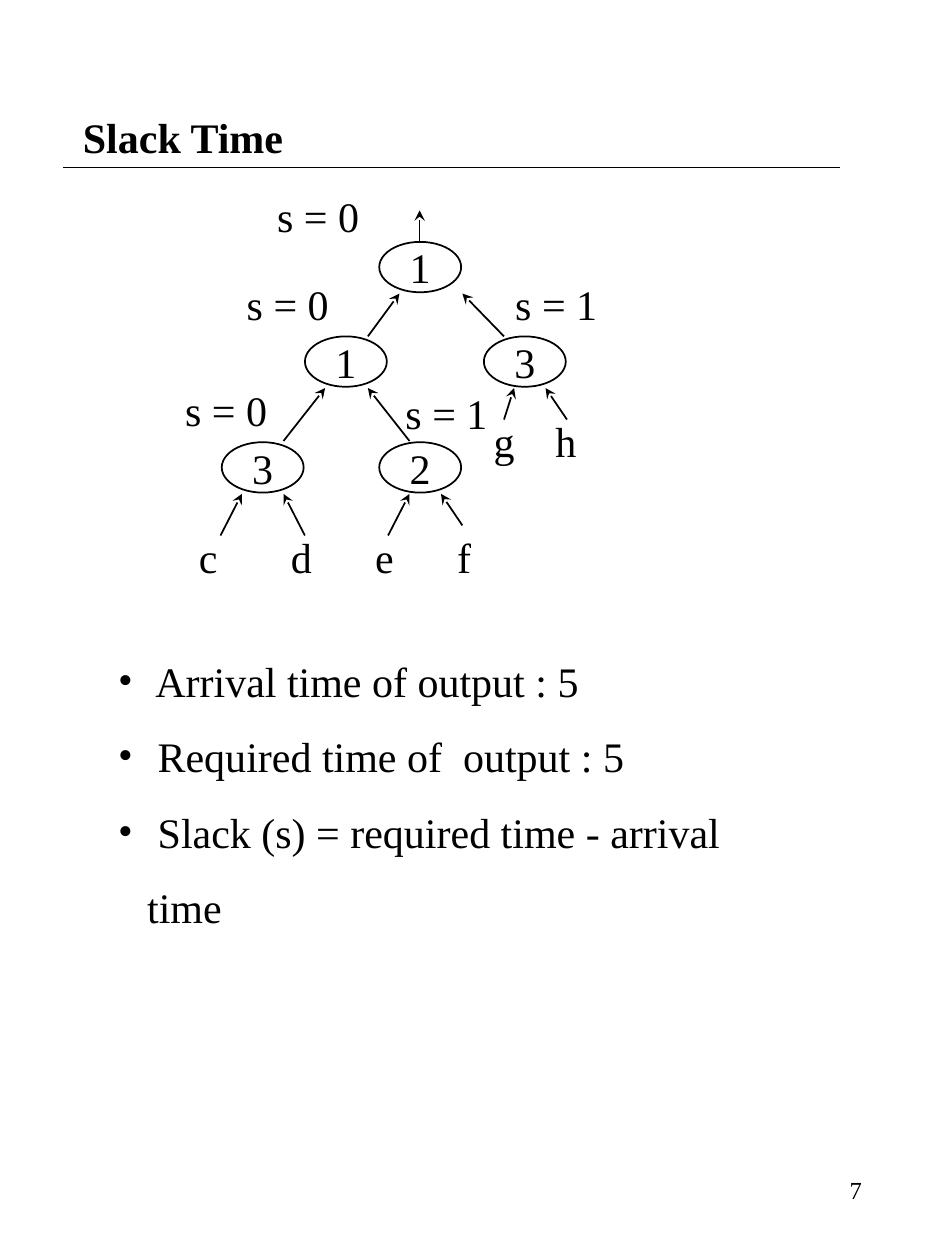
from pptx import Presentation, util as u
from pptx.dml.color import RGBColor
from pptx.enum import shapes, text
from pptx.oxml.ns import qn
from lxml import etree

FONT = "Times New Roman"
BLACK, WHITE = "000000", "FFFFFF"
NODE_SIZE = (0.65, 0.4)
NODES = [("1", 2.01, 0.92), ("1", 1.42, 1.67), ("3", 2.84, 1.67),
         ("2", 2.01, 2.51), ("3", 0.76, 2.51)]
EDGES = [(0.75, 3.25, 0.92, 2.92), (1.42, 3.25, 1.25, 2.92),
         (2.08, 3.25, 2.25, 2.92), (2.67, 3.17, 2.5, 2.92),
         (2.25, 2.5, 1.92, 2.08), (3, 1.67, 2.67, 1.33),
         (1.25, 2.5, 1.58, 2.08), (1.92, 1.67, 2.17, 1.33),
         (3.5, 2.33, 3.33, 2.08), (3, 2.33, 3.08, 2.08),
         (2.33, 0.92, 2.33, 0.67)]
LEAVES = [("c\td\te\tf", (0.48, 3.17, 2.36, 0.5), (0.73, 1.4, 2.05)),
          ("g\th", (2.82, 2.25, 0.87, 0.5), (0.49,))]
SLACKS = [("s = 1", (2.99, 1.16, 1.65, 0.5)), ("s = 1", (2.12, 2.03, 1.1, 0.5)),
          ("s = 0", (0.37, 2, 1.75, 0.5)), ("s = 0", (0.86, 1.16, 1.65, 0.5)),
          ("s = 0", (1.1, 0.46, 1.65, 0.5))]
BULLETS = [" Arrival time of output : 5", " Required time of  output : 5",
           " Slack (s) = required time - arrival time"]


def color(value):
    """Turn a hex string into a colour."""
    return RGBColor.from_string(value)


def inches(values):
    """Turn numbers into lengths."""
    return [u.Inches(value) for value in values]


def moved(box, left, top):
    """Shift a box by the corner of its region."""
    return (box[0] + left, box[1] + top, *box[2:])


def style(paragraph, size=24, bold=False):
    """Set the font of a paragraph."""
    font = paragraph.font
    font.name, font.size, font.bold = FONT, u.Pt(size), bold
    font.color.rgb = color(BLACK)


def add_text(slide, box, content, size=24, bold=False, align=text.PP_ALIGN.LEFT,
             anchor=text.MSO_ANCHOR.TOP, tabs=()):
    """Add a one-line text box with optional tab stops."""
    frame = slide.shapes.add_textbox(*inches(box)).text_frame
    frame.word_wrap, frame.vertical_anchor = True, anchor
    paragraph = frame.paragraphs[0]
    paragraph.text, paragraph.alignment = content, align
    if tabs:
        stops = etree.SubElement(paragraph._p.get_or_add_pPr(), qn("a:tabLst"))
        for position in tabs:
            etree.SubElement(stops, qn("a:tab"), pos=str(u.Inches(position)), algn="l")
    style(paragraph, size, bold)


def add_line(slide, points, arrow=False):
    """Add a thin black line, with an arrowhead at its end if asked."""
    line = slide.shapes.add_connector(shapes.MSO_CONNECTOR.STRAIGHT, *inches(points))
    line.line.color.rgb, line.line.width = color(BLACK), u.Pt(1)
    if arrow:
        etree.SubElement(line.line._get_or_add_ln(), qn("a:tailEnd"), type="stealth")
    etree.SubElement(line._element.spPr, qn("a:effectLst"))


def add_node(slide, box, delay):
    """Add a half-transparent gate with its delay."""
    shape = slide.shapes.add_shape(shapes.MSO_SHAPE.OVAL, *inches(box))
    shape.shadow.inherit = False
    shape.fill.solid()
    shape.fill.fore_color.rgb = color(WHITE)
    fill = shape._element.spPr.find(qn("a:solidFill"))
    etree.SubElement(fill[0], qn("a:alpha"), val="50000")
    shape.line.color.rgb, shape.line.width = color(BLACK), u.Pt(1)
    frame = shape.text_frame
    frame.word_wrap, frame.vertical_anchor = False, text.MSO_ANCHOR.MIDDLE
    paragraph = frame.paragraphs[0]
    paragraph.text, paragraph.alignment = delay, text.PP_ALIGN.CENTER
    style(paragraph)


def add_title(slide, box):
    """Add the heading and the rule below it."""
    left, top, width, height = box
    add_text(slide, box, "Slack Time", bold=True, anchor=text.MSO_ANCHOR.MIDDLE)
    rule_top = top + 0.83
    add_line(slide, (left - 0.06, rule_top, left + 6.11, rule_top))


def add_tree(slide, left, top):
    """Add the gate tree with its inputs and slack labels."""
    for delay, x, y in NODES:
        add_node(slide, moved((x, y, *NODE_SIZE), left, top), delay)
    for x1, y1, x2, y2 in EDGES:
        add_line(slide, (left + x1, top + y1, left + x2, top + y2), arrow=True)
    for content, box, tabs in LEAVES:
        add_text(slide, moved(box, left, top), content, tabs=tabs)
    for content, box in SLACKS:
        add_text(slide, moved(box, left, top), content)


def add_bullets(slide, box):
    """Add the bulleted definitions."""
    frame = slide.shapes.add_textbox(*inches(box)).text_frame
    frame.word_wrap = True
    frame.text = "\n".join(BULLETS)
    for paragraph in frame.paragraphs:
        paragraph.line_spacing = 1.5
        properties = paragraph._p.get_or_add_pPr()
        indent = u.Inches(0.23)
        properties.set("marL", str(indent))
        properties.set("indent", str(-indent))
        etree.SubElement(properties, qn("a:buFont"), typeface=FONT)
        etree.SubElement(properties, qn("a:buChar"), char="•")
        style(paragraph)


def main():
    """Build and save the slide."""
    presentation = Presentation()
    presentation.slide_width, presentation.slide_height = inches((7.5, 10))
    slide = presentation.slides.add_slide(presentation.slide_layouts[6])
    add_title(slide, (0.56, 0.5, 6.37, 1.17))
    add_bullets(slide, (0.84, 4.95, 5.54, 1.9))
    add_tree(slide, 1, 1)
    add_text(slide, (5.38, 9.11, 1.56, 0.67), "7", size=14,
             align=text.PP_ALIGN.RIGHT, anchor=text.MSO_ANCHOR.MIDDLE)
    presentation.save("out.pptx")


if __name__ == "__main__":
    main()
